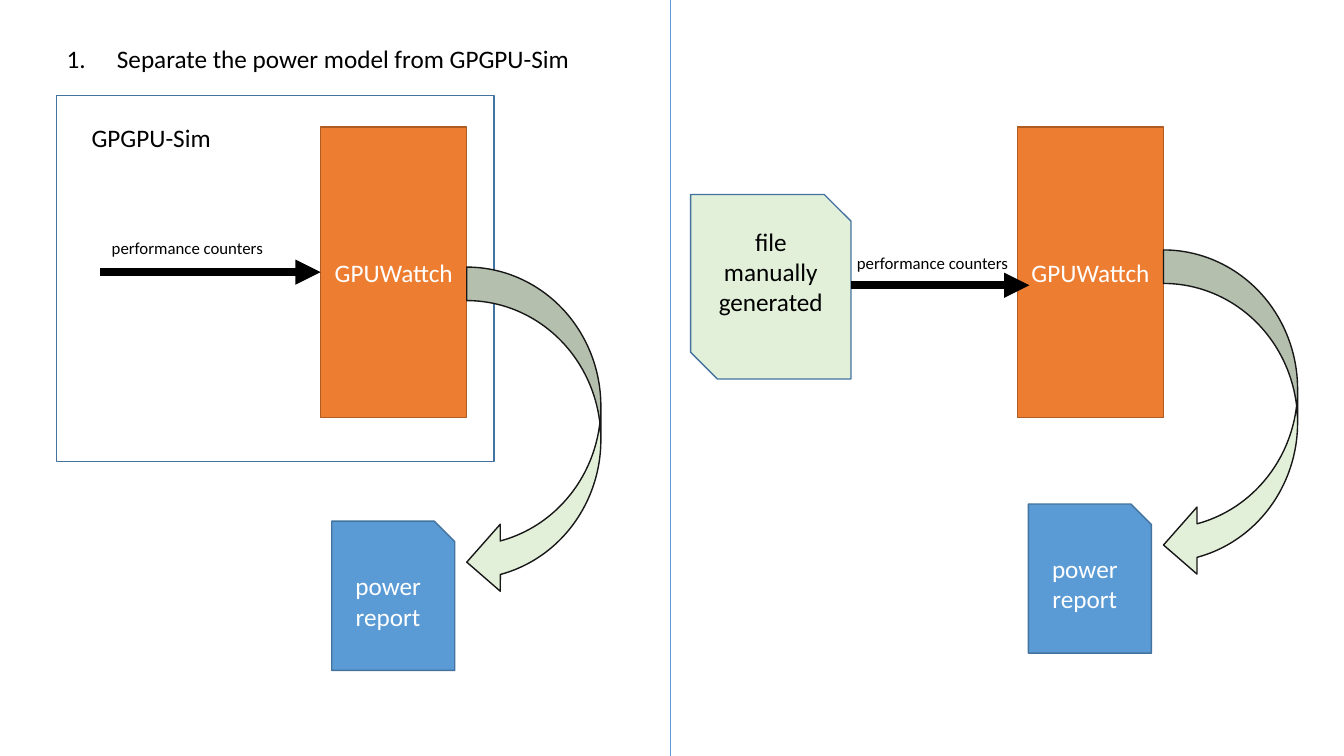
from lxml import etree
from pptx import Presentation
from pptx.dml.color import RGBColor
from pptx.enum.shapes import MSO_CONNECTOR, MSO_SHAPE
from pptx.enum.text import MSO_ANCHOR, MSO_AUTO_SIZE, PP_ALIGN
from pptx.oxml.ns import qn
from pptx.util import Inches, Pt

STRAIGHT = MSO_CONNECTOR.STRAIGHT
RECTANGLE = MSO_SHAPE.RECTANGLE
SNIP_ONE = MSO_SHAPE.SNIP_1_RECTANGLE
SNIP_DIAGONAL = MSO_SHAPE.SNIP_2_DIAG_RECTANGLE
CURVED_LEFT = MSO_SHAPE.CURVED_LEFT_ARROW
LEFT, CENTER = PP_ALIGN.LEFT, PP_ALIGN.CENTER
TOP, MIDDLE = MSO_ANCHOR.TOP, MSO_ANCHOR.MIDDLE
NO_AUTOSIZE = MSO_AUTO_SIZE.NONE

FONT = "Calibri"
BLACK, WHITE = "000000", "FFFFFF"
BLUE, DARK_BLUE = "5B9BD5", "43739E"
ORANGE, DARK_ORANGE = "ED7D31", "AF5C24"
PALE_GREEN, ARROW_EDGE = "E2F0D9", "181717"
TITLE_ONLY = 5


def color(value):
    return RGBColor.from_string(value)


class SlideBuilder:
    def __init__(self, slide):
        self.slide = slide

    def add_text(self, paragraph, text, size, text_color, alignment):
        paragraph.alignment = alignment
        run = paragraph.add_run()
        run.text = text
        run.font.name = FONT
        run.font.size = Pt(size)
        run.font.color.rgb = color(text_color)

    def title(self, left, top, width, height, text):
        title = self.slide.shapes.title
        title.left, title.top = Inches(left), Inches(top)
        title.width, title.height = Inches(width), Inches(height)
        frame = title.text_frame
        frame.auto_size = NO_AUTOSIZE
        frame.word_wrap = False
        frame.vertical_anchor = TOP
        paragraph = frame.paragraphs[0]
        self.add_text(paragraph, text, 18, BLACK, LEFT)
        paragraph.line_spacing = 1.5
        paragraph.space_before = Pt(0)
        properties = paragraph._p.get_or_add_pPr()
        properties.set("marL", str(Inches(0.5)))
        properties.set("indent", str(Inches(-0.5)))
        font = etree.SubElement(properties, qn("a:buFont"))
        font.set("typeface", "+mj-lt")
        number = etree.SubElement(properties, qn("a:buAutoNum"))
        number.set("type", "arabicPeriod")

    def label(self, left, top, width, height, text, size):
        box = self.slide.shapes.add_textbox(
            Inches(left), Inches(top), Inches(width), Inches(height))
        box.text_frame.word_wrap = False
        self.add_text(box.text_frame.paragraphs[0], text, size, BLACK, LEFT)

    def shape(self, kind, left, top, width, height, fill, line,
              text=None, text_color=WHITE, bottom_inset=0.05):
        shape = self.slide.shapes.add_shape(
            kind, Inches(left), Inches(top), Inches(width), Inches(height))
        shape.shadow.inherit = False
        if fill:
            shape.fill.solid()
            shape.fill.fore_color.rgb = color(fill)
        else:
            shape.fill.background()
        shape.line.color.rgb = color(line)
        shape.line.width = Pt(1)
        if text:
            frame = shape.text_frame
            frame.word_wrap = True
            frame.vertical_anchor = MIDDLE
            frame.margin_bottom = Inches(bottom_inset)
            self.add_text(frame.paragraphs[0], text, 18, text_color, CENTER)

    def line(self, start, end, line_color, width, arrow=False):
        connector = self.slide.shapes.add_connector(
            STRAIGHT, *(Inches(value) for value in (*start, *end)))
        connector.line.color.rgb = color(line_color)
        connector.line.width = Pt(width)
        properties = connector._element.spPr
        etree.SubElement(properties, qn("a:effectLst"))
        if arrow:
            head = etree.SubElement(properties.find(qn("a:ln")), qn("a:tailEnd"))
            head.set("type", "triangle")

    def power_model(self, left, flow_top):
        self.shape(RECTANGLE, left, 1.26, 1.45, 2.88, ORANGE, DARK_ORANGE, "GPUWattch")
        self.shape(SNIP_ONE, left + 0.11, flow_top + 2.52, 1.22, 1.48,
                   BLUE, DARK_BLUE, "power report")
        self.shape(CURVED_LEFT, left + 1.45, flow_top, 1.33, 3.26,
                   PALE_GREEN, ARROW_EDGE)

    def counters(self, start, end, label_left, label_top):
        self.line(start, end, BLACK, 6, arrow=True)
        self.label(label_left, label_top, 1.72, 0.3, "performance counters", 12)


presentation = Presentation()
presentation.slide_width = Inches(13.33)
presentation.slide_height = Inches(7.5)
slide = presentation.slides.add_slide(presentation.slide_layouts[TITLE_ONLY])
builder = SlideBuilder(slide)

builder.title(0.56, 0.23, 5.24, 0.56, "Separate the power model from GPGPU-Sim")
builder.line((6.65, 0), (6.65, 7.5), BLUE, 0.5)

builder.shape(RECTANGLE, 0.56, 0.95, 4.34, 3.63, None, DARK_BLUE)
builder.label(0.81, 1.16, 1.39, 0.4, "GPGPU-Sim", 18)
builder.power_model(3.18, 2.65)
builder.counters((0.99, 2.7), (3.18, 2.7), 1.01, 2.31)

builder.power_model(10.09, 2.48)
builder.shape(SNIP_DIAGONAL, 6.85, 1.93, 1.59, 1.83, PALE_GREEN, DARK_BLUE,
              "file manually generated", BLACK, bottom_inset=0.35)
builder.counters((8.44, 2.83), (10.21, 2.83), 8.4, 2.46)

presentation.save("out.pptx")
